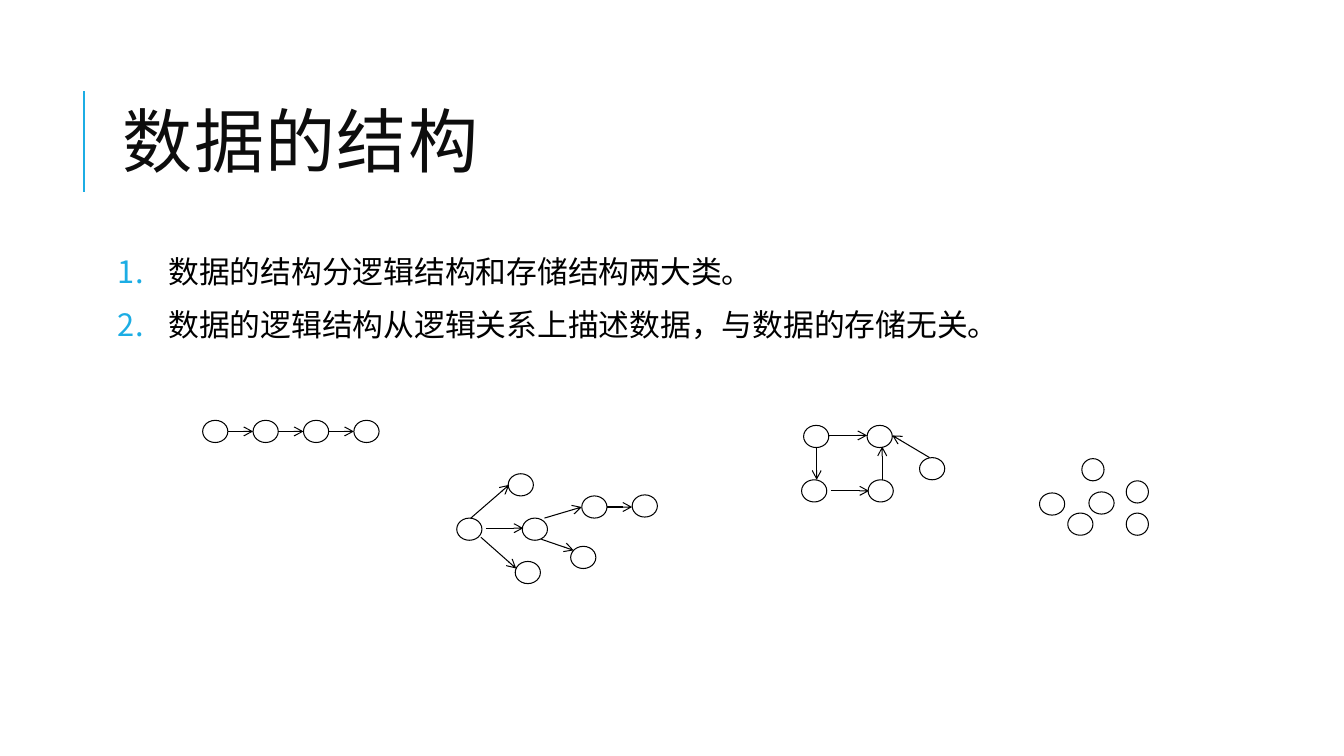
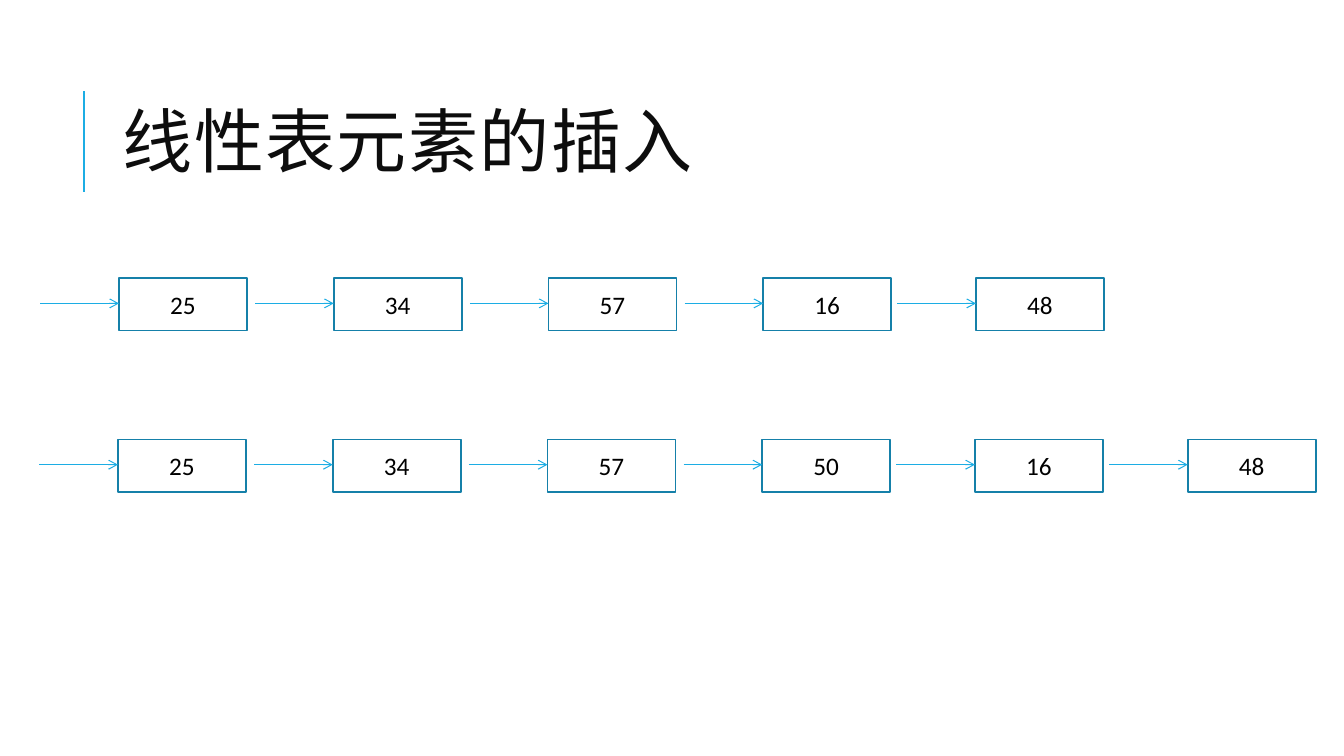
from lxml import etree
from pptx import Presentation
from pptx import util as u
from pptx.dml.color import RGBColor
from pptx.enum import shapes, text
from pptx.oxml.ns import qn

BLACK, WHITE, INK = "000000", "FFFFFF", "0D0D0D"
ACCENT, ACCENT_DARK = "1CADE4", "1580A9"
TITLE_FONT, BODY_FONT = "Cabin", "Calibri"


def add_line(parent, start, end, color, width=0.75, arrow=True):
    """Draw a straight line, with an open arrowhead at its end if wanted."""
    points = [u.Inches(v) for v in (*start, *end)]
    line = parent.shapes.add_connector(shapes.MSO_CONNECTOR.STRAIGHT, *points)
    line.line.color.rgb = RGBColor.from_string(color)
    line.line.width = u.Pt(width)
    if arrow:
        etree.SubElement(line.line._get_or_add_ln(), qn("a:tailEnd"), type="arrow")
    etree.SubElement(line._element.spPr, qn("a:effectLst"))


def add_outlined(parent, preset, box, color, width, fill=None):
    """Add a preset shape with a plain outline and an optional fill."""
    shape = parent.shapes.add_shape(preset, *[u.Inches(v) for v in box])
    shape.shadow.inherit = False
    if fill:
        shape.fill.solid()
        shape.fill.fore_color.rgb = RGBColor.from_string(fill)
    else:
        shape.fill.background()
    shape.line.color.rgb = RGBColor.from_string(color)
    shape.line.width = u.Pt(width)
    return shape


deck = Presentation()
deck.slide_width, deck.slide_height = u.Inches(13.33), u.Inches(7.5)

# Title and accent rule on both slides
slides = []
for heading in ("数据的结构", "线性表元素的插入"):
    slide = deck.slides.add_slide(deck.slide_layouts[6])
    slides.append(slide)
    add_line(slide, (0.83, 1.9), (0.83, 0.9), ACCENT, 1.5, arrow=False)
    title = slide.shapes.add_textbox(*[u.Inches(v) for v in (1.12, 0.64, 10.63, 1.64)])
    title.text_frame.word_wrap = True
    title.text_frame.vertical_anchor = text.MSO_ANCHOR.MIDDLE
    paragraph = title.text_frame.paragraphs[0]
    paragraph.line_spacing = 0.8
    run = paragraph.add_run()
    run.text = heading
    run.font.name, run.font.size = TITLE_FONT, u.Pt(50)
    run.font.color.rgb = RGBColor.from_string(INK)
    run.font._element.set("spc", "100")
structure_slide, insertion_slide = slides

# Numbered statements
statements = (
    "数据的结构分逻辑结构和存储结构两大类。",
    "数据的逻辑结构从逻辑关系上描述数据,与数据的存储无关。".replace(",", "，"),
)
body = structure_slide.shapes.add_textbox(*[u.Inches(v) for v in (1.12, 2.5, 10.63, 4.4)])
frame = body.text_frame
frame.word_wrap = True
for side in ("left", "top", "right", "bottom"):
    setattr(frame, f"margin_{side}", u.Inches(0.05))
spacing = {"line_spacing": 0.9, "space_before": u.Pt(12), "space_after": u.Pt(2)}
for i, statement in enumerate(statements):
    paragraph = frame.add_paragraph() if i else frame.paragraphs[0]
    for name, value in spacing.items():
        setattr(paragraph, name, value)
    props = paragraph._p.get_or_add_pPr()
    props.set("marL", str(u.Inches(0.5)))
    props.set("indent", str(-u.Inches(0.5)))
    number_color = etree.SubElement(props, qn("a:buClr"))
    etree.SubElement(number_color, qn("a:srgbClr"), val=ACCENT)
    etree.SubElement(props, qn("a:buFont"), typeface=TITLE_FONT)
    etree.SubElement(props, qn("a:buAutoNum"), type="arabicPeriod")
    run = paragraph.add_run()
    run.text = statement
    run.font.name, run.font.size = BODY_FONT, u.Pt(22)
    run.font.color.rgb = RGBColor.from_string(BLACK)

# Logical structures: (left, top) of the nodes, then the arrows between them
NODE_W, NODE_H = 0.25, 0.22
linear = (
    [(2.01 + 0.5 * i, 4.17) for i in range(4)],
    [((2.26 + 0.5 * i, 4.28), (2.51 + 0.5 * i, 4.28)) for i in range(3)],
)
tree = (
    [(4.53, 5.14), (5.04, 4.7), (5.18, 5.14), (5.11, 5.57),
     (5.77, 4.92), (5.66, 5.42), (6.27, 4.91)],
    [((4.82, 5.24), (5.19, 5.24)), ((4.67, 5.14), (5.05, 4.81)),
     ((4.77, 5.33), (5.12, 5.64)), ((5.4, 5.14), (5.77, 5.03)),
     ((5.37, 5.35), (5.69, 5.46)), ((6.02, 5.03), (6.27, 5.03))],
)
graph = (
    [(7.95, 4.76), (7.97, 4.22), (8.61, 4.76), (8.6, 4.22), (9.12, 4.54)],
    [((8.24, 4.87), (8.62, 4.87)), ((8.22, 4.32), (8.6, 4.32)),
     ((8.1, 4.43), (8.1, 4.76)), ((8.75, 4.76), (8.75, 4.43)),
     ((9.22, 4.54), (8.85, 4.32))],
)
loose_set = ([(10.8, 4.88), (10.59, 5.09), (10.31, 4.89)], [])
loose_set_round = ([(11.17, 5.09), (11.17, 4.77), (10.73, 4.55)], [])
for (nodes, arrows), node_width in (
    (linear, NODE_W), (tree, NODE_W), (graph, NODE_W),
    (loose_set, NODE_W), (loose_set_round, NODE_H),
):
    structure = structure_slide.shapes.add_group_shape()
    for left, top in nodes:
        add_outlined(structure, shapes.MSO_SHAPE.OVAL, (left, top, node_width, NODE_H),
                     BLACK, 0.75, WHITE)
    for start, end in arrows:
        add_line(structure, start, end, BLACK)

# Linked list before and after inserting 50
CELL_W, CELL_H, ARROW_LENGTH = 1.27, 0.52, 0.78
CELL_OFFSETS = (0, 2.13, 4.26, 6.39, 8.5, 10.61)
lists = (
    (1.18, 2.76, (25, 34, 57, 16, 48)),
    (1.17, 4.36, (25, 34, 57, 50, 16, 48)),
)
for list_left, top, values in lists:
    chain = insertion_slide.shapes.add_group_shape()
    for offset, value in zip(CELL_OFFSETS, values):
        left, arrow_y = list_left + offset, top + 0.25
        cell = add_outlined(chain, shapes.MSO_SHAPE.RECTANGLE,
                            (left, top, CELL_W, CELL_H), ACCENT_DARK, 1.25)
        cell.text_frame.vertical_anchor = text.MSO_ANCHOR.MIDDLE
        paragraph = cell.text_frame.paragraphs[0]
        paragraph.alignment = text.PP_ALIGN.CENTER
        run = paragraph.add_run()
        run.text = str(value)
        run.font.name, run.font.size = BODY_FONT, u.Pt(18)
        run.font.color.rgb = RGBColor.from_string(BLACK)
        add_line(chain, (left - ARROW_LENGTH, arrow_y), (left, arrow_y), ACCENT)

deck.save("out.pptx")
